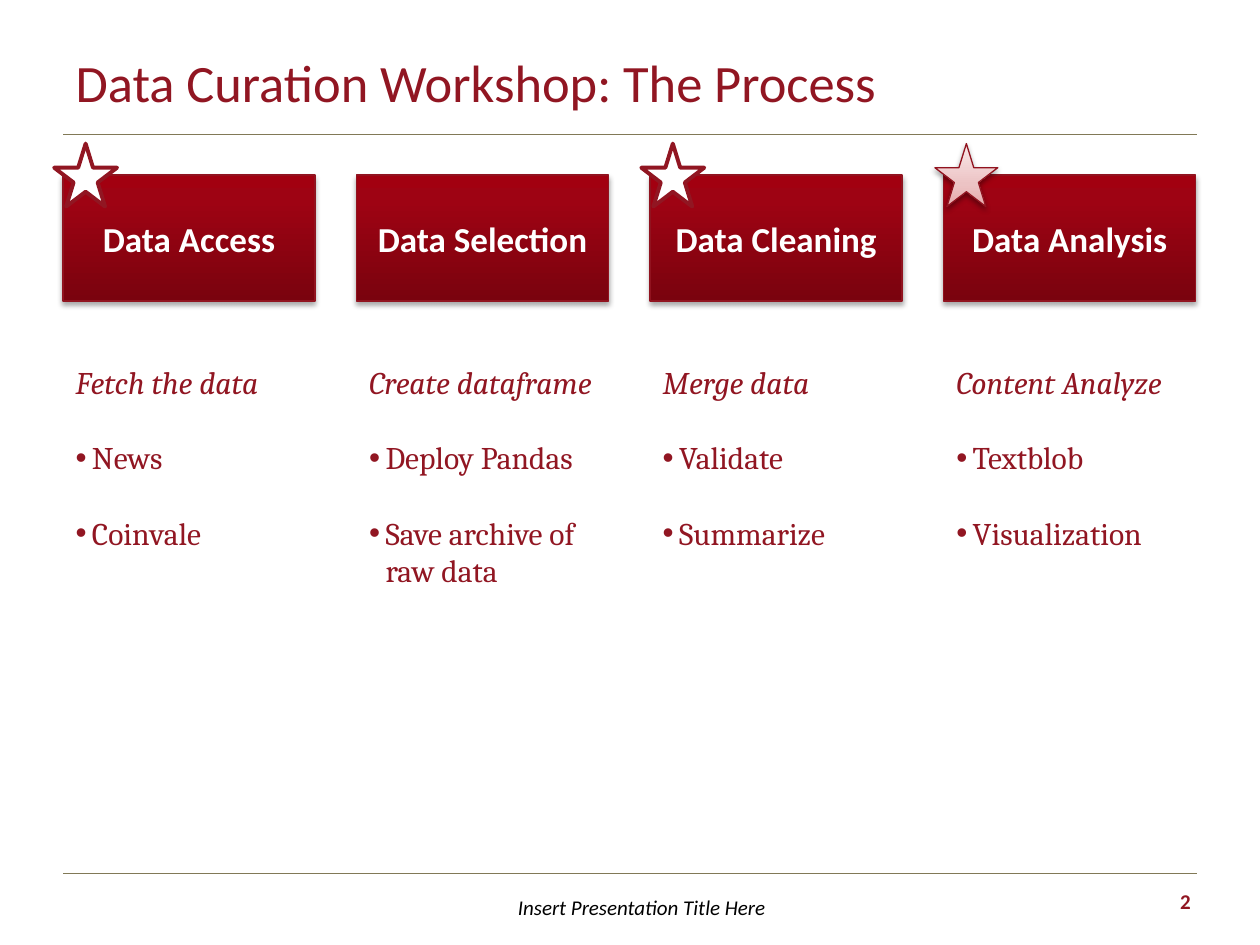
from dataclasses import dataclass

from lxml import etree
from pptx import Presentation
from pptx.dml.color import RGBColor
from pptx.enum.shapes import MSO_CONNECTOR, MSO_SHAPE
from pptx.enum.text import MSO_ANCHOR, MSO_AUTO_SIZE, PP_ALIGN
from pptx.oxml.ns import qn
from pptx.util import Inches, Pt

LEFT, CENTER, RIGHT = PP_ALIGN.LEFT, PP_ALIGN.CENTER, PP_ALIGN.RIGHT
TOP, MIDDLE, BOTTOM = MSO_ANCHOR.TOP, MSO_ANCHOR.MIDDLE, MSO_ANCHOR.BOTTOM
NO_FIT = MSO_AUTO_SIZE.NONE
RECTANGLE, STAR = MSO_SHAPE.RECTANGLE, MSO_SHAPE.STAR_5_POINT
STRAIGHT = MSO_CONNECTOR.STRAIGHT
COMPARISON_LAYOUT = 4


@dataclass(frozen=True)
class Theme:
    crimson: str = "911622"
    edge: str = "91131F"
    rule: str = "817957"
    white: str = "FFFFFF"
    black: str = "000000"
    box_stops: tuple = ((0, "7A030E"), (80, "9E0313"), (100, "A20010"))
    star_stops: tuple = ((0, "E6A8AA"), (35, "ECC3C4"), (100, "F9E8E8"))
    sans: str = "Calibri"
    serif: str = "Cambria"
    title_size: int = 30
    box_size: int = 20
    list_size: int = 18
    footer_size: int = 12


THEME = Theme()

# Heading, lead line, bullets, star style
STEPS = (
    ("Data Access", "Fetch the data", ("News", "Coinvale"), "outline"),
    ("Data Selection", "Create dataframe",
     ("Deploy Pandas", "Save archive of raw data"), None),
    ("Data Cleaning", "Merge data", ("Validate", "Summarize"), "outline"),
    ("Data Analysis", "Content Analyze", ("Textblob", "Visualization"), "shaded"),
)
COLUMN_LEFT, COLUMN_STEP, COLUMN_WIDTH = 0.5, 2.33, 2


def color(value):
    return RGBColor.from_string(value)


def place(item, left, top, width, height):
    item.left, item.top = Inches(left), Inches(top)
    item.width, item.height = Inches(width), Inches(height)


def write(para, text, font=THEME.sans, size=THEME.footer_size,
          fill=THEME.crimson, bold=False, italic=False, align=LEFT):
    para.alignment = align
    span = para.add_run()
    span.text = text
    span.font.name, span.font.size = font, Pt(size)
    span.font.bold, span.font.italic = bold, italic
    span.font.color.rgb = color(fill)


def set_frame(frame, anchor, insets=(0.1, 0.05, 0.1, 0.05)):
    frame.word_wrap = True
    frame.auto_size = NO_FIT
    frame.vertical_anchor = anchor
    (frame.margin_left, frame.margin_top,
     frame.margin_right, frame.margin_bottom) = map(Inches, insets)


def set_bullet(para, mark=None, indent=0):
    props = para._p.get_or_add_pPr()
    props.set("marL", str(Inches(indent)))
    props.set("indent", str(-Inches(indent)))
    if mark:
        etree.SubElement(props, qn("a:buFont"), typeface="Arial")
        etree.SubElement(props, qn("a:buChar"), char=mark)
    else:
        etree.SubElement(props, qn("a:buNone"))


def add_color_node(parent, tag, value, **attributes):
    node = etree.SubElement(parent, qn(tag), **attributes)
    return etree.SubElement(node, qn("a:srgbClr"), val=value)


def shade(shape, stops, opacity, distance):
    """Fill with an upward gradient and cast a soft shadow below."""
    shape.fill.gradient()
    shape.fill.gradient_angle = 90
    stop_list = shape._element.spPr.find(".//" + qn("a:gsLst"))
    for stop in list(stop_list):
        stop_list.remove(stop)
    for position, value in stops:
        add_color_node(stop_list, "a:gs", value, pos=str(position * 1000))
    effects = shape._element.spPr.find(qn("a:effectLst"))
    shadow = add_color_node(
        effects, "a:outerShdw", THEME.black, blurRad=str(Pt(3.1)),
        dist=str(Pt(distance)), dir="5400000", rotWithShape="0")
    etree.SubElement(shadow, qn("a:alpha"), val=str(opacity * 1000))


def add_outlined(page, kind, bounds, line, width):
    shape = page.shapes.add_shape(kind, *map(Inches, bounds))
    shape.shadow.inherit = False
    shape.line.color.rgb = color(line)
    shape.line.width = Pt(width)
    return shape


def add_rule(page, left, top, width):
    rule = page.shapes.add_connector(
        STRAIGHT, Inches(left), Inches(top), Inches(left + width), Inches(top))
    rule.line.color.rgb = color(THEME.rule)
    rule.line.width = Pt(0.75)
    etree.SubElement(rule._element.spPr, qn("a:effectLst"))


def add_label(page, bounds, text, insets, **style):
    box = page.shapes.add_textbox(*map(Inches, bounds))
    set_frame(box.text_frame, MIDDLE, insets)
    write(box.text_frame.paragraphs[0], text, **style)


def build_header(page, left, top, width):
    title = page.shapes.title
    place(title, left, top, width, 0.49)
    set_frame(title.text_frame, BOTTOM)
    para = title.text_frame.paragraphs[0]
    para.line_spacing = Pt(28)
    write(para, "Data Curation Workshop: The Process", size=THEME.title_size)
    add_rule(page, left, top + 0.61, width)


def build_footer(page, left, top, width):
    add_rule(page, left, top, width)
    add_label(page, (left + 3.56, top + 0.12, 3.11, 0.3),
              "Insert Presentation Title Here", (0.05, 0.05, 0.1, 0.05),
              fill=THEME.black, italic=True)
    add_label(page, (left + width - 0.61, top + 0.02, 0.61, 0.4), "2",
              (0.03, 0.05, 0.05, 0.05), bold=True, align=RIGHT)


def build_star(page, left, top, style):
    bounds = (left, top, 0.5, 0.5)
    if style == "shaded":
        star = add_outlined(page, STAR, bounds, THEME.edge, 0.75)
        shade(star, THEME.star_stops, opacity=38, distance=1.6)
    else:
        star = add_outlined(page, STAR, bounds, THEME.crimson, 2.25)
        star.fill.solid()
        star.fill.fore_color.rgb = color(THEME.white)


def build_step(page, body, left, top, width, step):
    heading, lead, bullets, star_style = step

    # Heading box with its star
    box = add_outlined(page, RECTANGLE, (left, top, width, 1), THEME.edge, 0.75)
    shade(box, THEME.box_stops, opacity=35, distance=1.8)
    set_frame(box.text_frame, MIDDLE)
    write(box.text_frame.paragraphs[0], heading, size=THEME.box_size,
          fill=THEME.white, bold=True, align=CENTER)
    if star_style:
        build_star(page, left - 0.07, top - 0.25, star_style)

    # Lead line and bullets
    place(body, left, top + 1.44, width, 2.73)
    frame = body.text_frame
    set_frame(frame, TOP)
    for index, text in enumerate((lead, *bullets)):
        para = frame.add_paragraph() if index else frame.paragraphs[0]
        para.space_before = Pt(21.5 if index else 0)
        set_bullet(para, *(("•", 0.13) if index else ()))
        write(para, text, font=THEME.serif, size=THEME.list_size,
              italic=index == 0)


deck = Presentation()
deck.slide_width, deck.slide_height = Inches(10), Inches(7.5)
page = deck.slides.add_slide(deck.slide_layouts[COMPARISON_LAYOUT])

build_header(page, 0.5, 0.46, 9)
bodies = [item for item in page.placeholders if item.placeholder_format.idx]
for column, (body, step) in enumerate(zip(bodies, STEPS)):
    build_step(page, body, COLUMN_LEFT + column * COLUMN_STEP, 1.39,
               COLUMN_WIDTH, step)
build_footer(page, 0.5, 6.93, 9)

deck.save("out.pptx")
